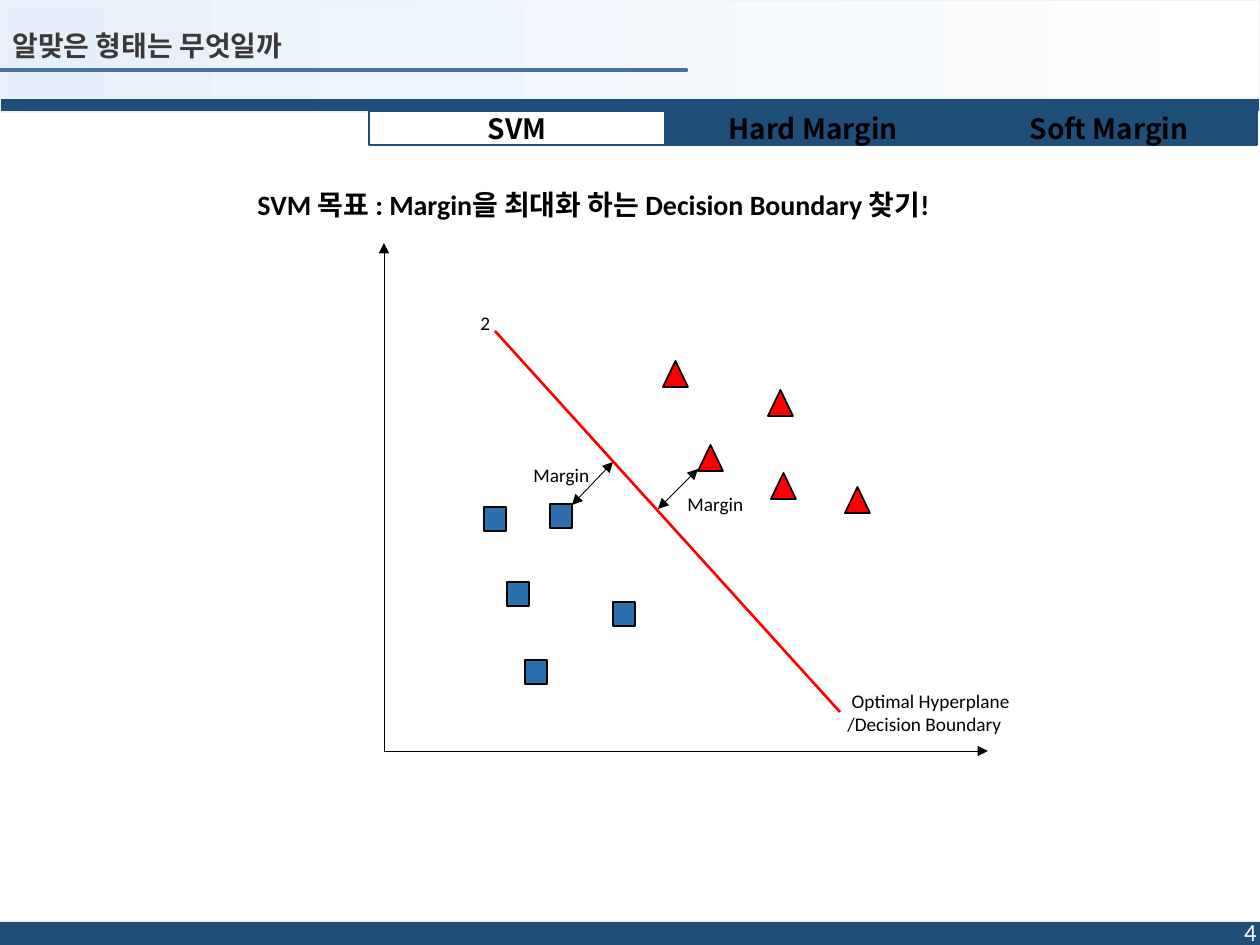
from typing import NamedTuple, Optional

from pptx import Presentation
from pptx.dml.color import RGBColor
from pptx.enum.shapes import MSO_CONNECTOR, MSO_SHAPE
from pptx.enum.text import MSO_ANCHOR, MSO_AUTO_SIZE, PP_ALIGN
from pptx.oxml.ns import qn
from pptx.util import Emu, Pt
from lxml.etree import SubElement

PX_PER_INCH = 126
NAVY, BLACK, WHITE, RED = "1F4E79", "000000", "FFFFFF", "FF0000"
KOREAN = "Noto Sans CJK KR"


class Box(NamedTuple):
    x: int
    y: int
    w: int
    h: int


class Style(NamedTuple):
    size: int = 11
    color: str = BLACK
    bold: bool = False
    font: str = "Calibri"
    align: PP_ALIGN = PP_ALIGN.LEFT
    anchor: MSO_ANCHOR = MSO_ANCHOR.TOP


class Label(NamedTuple):
    text: str
    box: Box
    style: Style = Style()


class Line(NamedTuple):
    start: tuple[int, int]
    end: tuple[int, int]
    color: str = BLACK
    width: float = 0.5
    head: bool = False
    tail: bool = False


def px(n: int) -> Emu:
    return Emu(round(n * 914400 / PX_PER_INCH))


def rgb(color: str) -> RGBColor:
    return RGBColor.from_string(color)


def write(sp, text: str, style: Style) -> None:
    tf = sp.text_frame
    tf.text = text
    tf.word_wrap = True
    tf.auto_size = MSO_AUTO_SIZE.NONE
    tf.vertical_anchor = style.anchor
    for p in tf.paragraphs:
        p.alignment = style.align
        for r in p.runs:
            r.font.size = Pt(style.size)
            r.font.bold = style.bold
            r.font.name = style.font
            r.font.color.rgb = rgb(style.color)
            SubElement(r.font._element, qn("a:ea"), typeface=KOREAN)


def add_shape(s, kind: MSO_SHAPE, box: Box, fill: str, line: Optional[str] = None):
    sp = s.shapes.add_shape(kind, *map(px, box))
    sp.shadow.inherit = False
    sp.fill.solid()
    sp.fill.fore_color.rgb = rgb(fill)
    if line:
        sp.line.color.rgb = rgb(line)
        sp.line.width = Pt(1)
    else:
        sp.line.fill.background()
    return sp


def add_label(s, label: Label) -> None:
    write(s.shapes.add_textbox(*map(px, label.box)), label.text, label.style)


def add_line(s, line: Line) -> None:
    cx = s.shapes.add_connector(MSO_CONNECTOR.STRAIGHT, *map(px, line.start + line.end))
    cx.line.color.rgb = rgb(line.color)
    cx.line.width = Pt(line.width)
    ln = cx.line._get_or_add_ln()
    for tag, shown in (("a:headEnd", line.head), ("a:tailEnd", line.tail)):
        if shown:
            SubElement(ln, qn(tag), type="triangle")
    SubElement(cx._element.spPr, qn("a:effectLst"))


def add_header(s) -> None:
    # Gradient band, white on the right
    band = add_shape(s, MSO_SHAPE.RECTANGLE, Box(0, 0, 1260, 98), WHITE, "F2F2F2")
    band.fill.gradient()
    band.fill.gradient_angle = 180
    for stop, color, position in zip(band.fill.gradient_stops, (WHITE, "E6F0FA"), (0, 1)):
        stop.color.rgb = rgb(color)
        stop.position = position
    add_shape(s, MSO_SHAPE.RECTANGLE, Box(0, 98, 1260, 14), NAVY, "F2F2F2")

    # Section tabs, the current one drawn last
    tab_style = Style(16, BLACK, True, KOREAN, PP_ALIGN.CENTER, MSO_ANCHOR.MIDDLE)
    tabs = list(enumerate(("SVM", "Hard Margin", "Soft Margin")))
    for i, name in tabs[1:] + tabs[:1]:
        tab = add_shape(s, MSO_SHAPE.RECTANGLE, Box(369 + 296 * i, 111, 296, 34),
                        NAVY if i else WHITE, NAVY)
        write(tab, name, tab_style)

    # Title and its underline
    add_shape(s, MSO_SHAPE.RECTANGLE, Box(0, 69, 687, 2), "5B9BD5", "43739E")
    title = s.shapes.title
    title.left, title.top, title.width, title.height = map(px, (0, 26, 675, 44))
    write(title, "알맞은 형태는 무엇일까", Style(16, "3B3838", True, "Arial"))
    title.text_frame.paragraphs[0].line_spacing = 0.9
    s.shapes._spTree.append(title._element)


def add_footer(s) -> None:
    add_shape(s, MSO_SHAPE.RECTANGLE, Box(0, 922, 1260, 23), NAVY)
    add_label(s, Label("4", Box(985, 907, 284, 50),
                       Style(14, WHITE, align=PP_ALIGN.RIGHT, anchor=MSO_ANCHOR.MIDDLE)))


LINES = [
    Line((572, 505), (613, 462), head=True, tail=True),  # margins
    Line((658, 509), (698, 469), head=True, tail=True),
    Line((384, 751), (988, 751), tail=True),  # axes
    Line((384, 751), (384, 243), tail=True),
    Line((495, 331), (840, 712), RED, 1.5),  # hyperplane
]
TRIANGLES = [(663, 361), (698, 445), (771, 473), (845, 487), (768, 390)]
SQUARES = [(484, 507), (507, 582), (525, 660), (613, 602), (550, 504)]
LABELS = [
    Label("Margin", Box(521, 457, 87, 36)),
    Label("Margin", Box(675, 486, 87, 36)),
    Label(" Optimal Hyperplane\n/Decision Boundary", Box(835, 683, 301, 59)),
    Label("2", Box(468, 305, 38, 59)),
    Label("SVM 목표 : Margin을 최대화 하는 Decision Boundary 찾기!",
          Box(245, 181, 891, 47), Style(16, bold=True)),
]


def main() -> None:
    prs = Presentation()
    prs.slide_width, prs.slide_height = px(1260), px(945)
    s = prs.slides.add_slide(prs.slide_layouts[5])
    add_header(s)
    add_footer(s)

    # Scatter plot with the separating line
    for line in LINES:
        add_line(s, line)
    for x, y in TRIANGLES:
        add_shape(s, MSO_SHAPE.ISOSCELES_TRIANGLE, Box(x, y, 25, 26), RED, BLACK)
    for x, y in SQUARES:
        add_shape(s, MSO_SHAPE.RECTANGLE, Box(x, y, 22, 24), "2C6FAD", BLACK)
    for label in LABELS:
        add_label(s, label)
    prs.save("out.pptx")


if __name__ == "__main__":
    main()
